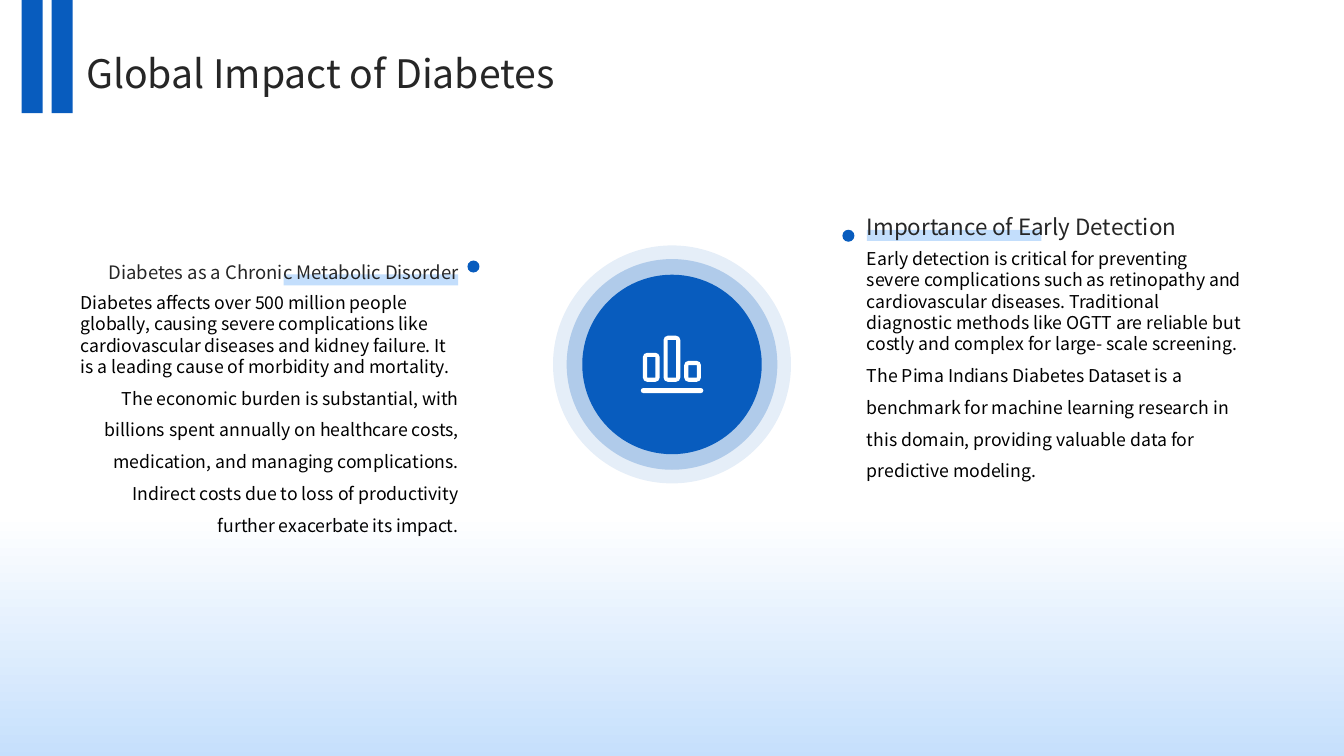
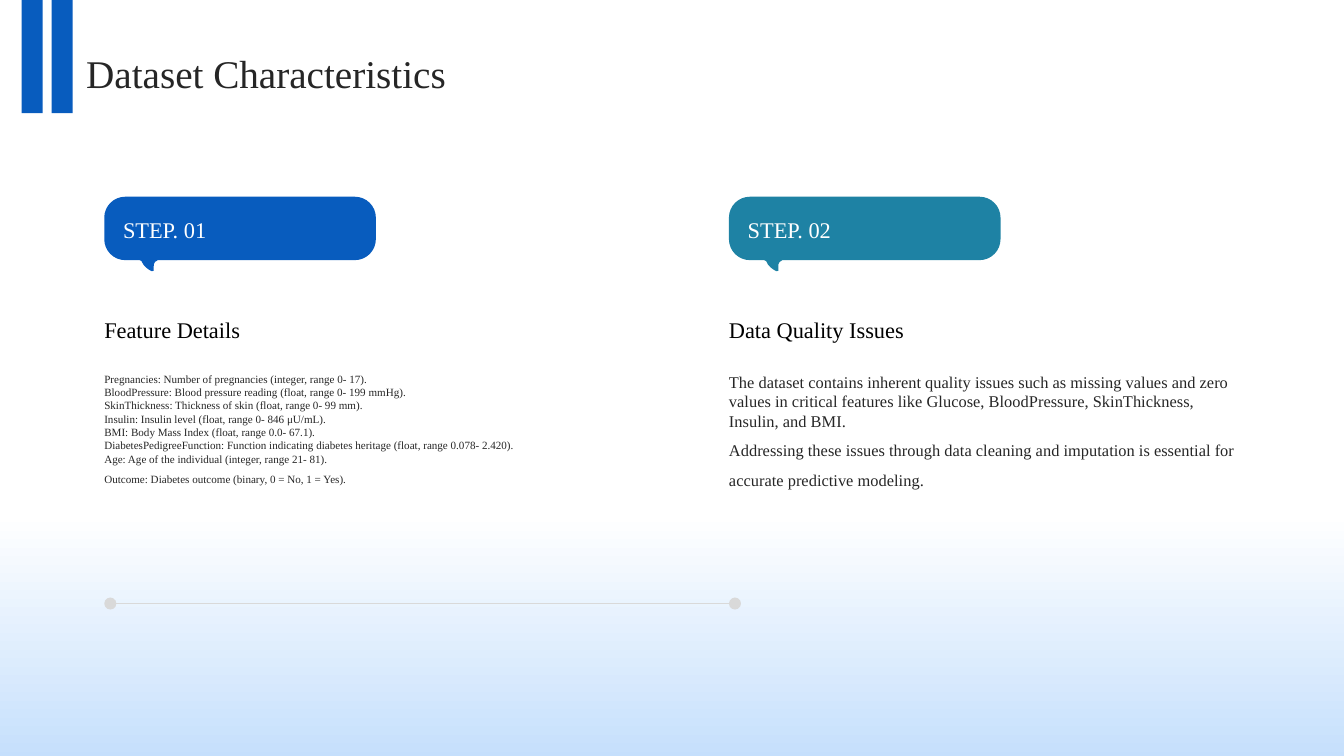
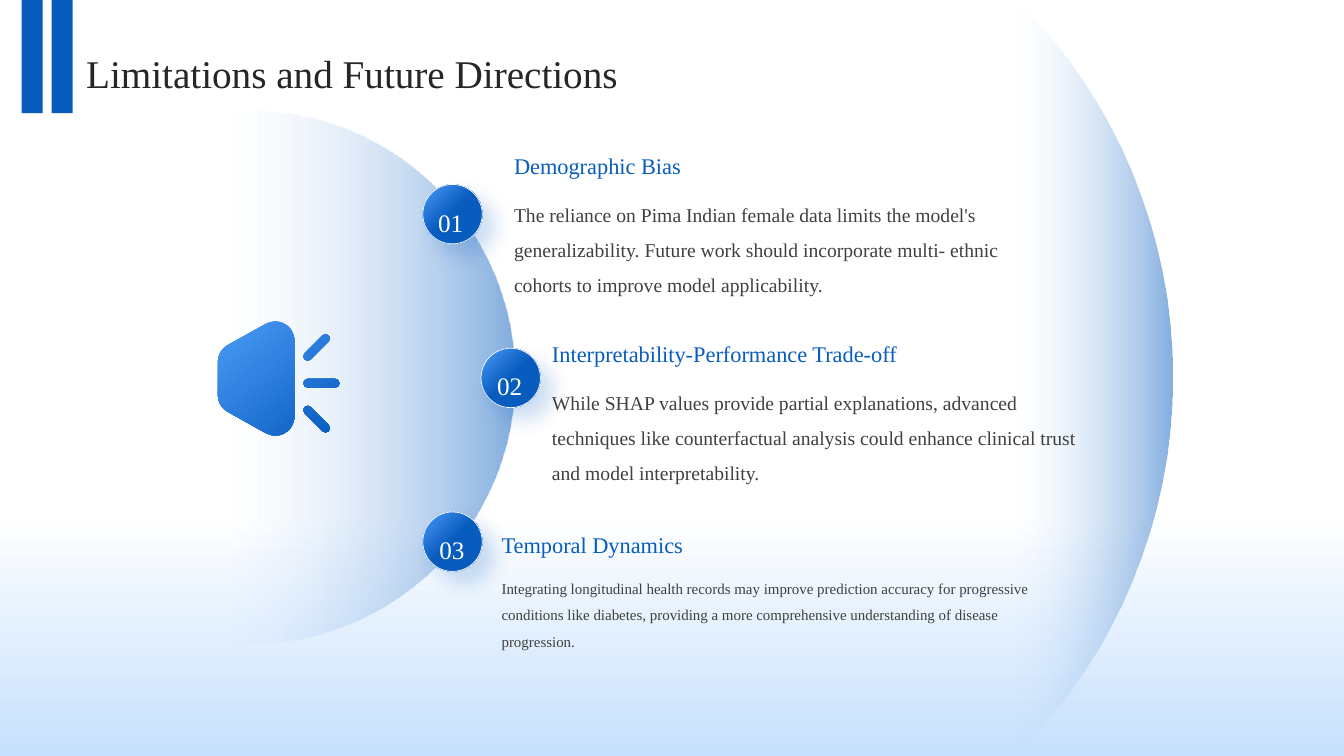
"""Build three slides on diabetes: global impact, dataset and limitations."""
from itertools import pairwise
from math import cos, radians, sin, tan

from lxml.etree import SubElement
from pptx import Presentation
from pptx.dml.color import RGBColor
from pptx.enum.shapes import MSO_CONNECTOR, MSO_SHAPE
from pptx.enum.text import MSO_ANCHOR, PP_ALIGN
from pptx.oxml.ns import qn
from pptx.util import Pt

BLUE, SKY, PALE, TEAL = "085CBE", "4B9BF7", "C3DEFC", "1E82A4"
INK, BODY, BLACK, WHITE, GREY = "262626", "404040", "000000", "FFFFFF", "D9D9D9"
SANS, SERIF = "Noto Sans CJK SC", "Times New Roman"
MIDDLE = {"vertical_anchor": MSO_ANCHOR.MIDDLE}
BOTTOM = {"vertical_anchor": MSO_ANCHOR.BOTTOM}
UNWRAPPED = {"vertical_anchor": MSO_ANCHOR.MIDDLE, "word_wrap": False}


def draw(slide, figure, place, stops, angle=0):
    if place:
        shape = slide.shapes.add_shape(figure, *map(Pt, place))
    else:
        builder, bends, count = None, [], 0
        for contour in figure:
            points = []
            for part in contour:
                if len(part) == 8:
                    curves = [list(zip(part[::2], part[1::2]))]
                else:
                    x, y, radius, start, end = part
                    quarters = [turn for turn in range(-360, 451, 90) if start < turn < end]
                    curves = [] if radius else [[(x, y)]]
                    for turn, following in pairwise([start, *quarters, end] if radius else []):
                        a, b = radians(turn), radians(following)
                        reach = 4 / 3 * tan((b - a) / 4)
                        curves.append([(x + radius * (cos(t) - k * sin(t)), y + radius * (sin(t) + k * cos(t)))
                                       for t, k in ((a, 0), (a, reach), (b, -reach), (b, 0))])
                for curve in curves:
                    curve = [(Pt(px), Pt(py)) for px, py in curve]
                    if not points or points[-1] != curve[0]:
                        points.append(curve[0])
                    if len(curve) == 4:
                        bends.append(count + len(points))
                        points += curve[1:]
            count += len(points)
            if builder is None:
                builder = slide.shapes.build_freeform(*points[0])
            else:
                builder.move_to(*points[0])
            builder.add_line_segments(points[1:], close=True)
        shape = builder.convert_to_shape()
        outline = shape.element.spPr.find(".//" + qn("a:pathLst"))[0]
        nodes = [node for node in outline if node.tag != qn("a:close")]
        for bend in bends:
            nodes[bend].tag = qn("a:cubicBezTo")
            for node in nodes[bend + 1:bend + 3]:
                nodes[bend].append(node[0])
                outline.remove(node)
    shape.shadow.inherit = False
    shape.line.fill.background()
    shape.fill.solid()
    paint = shape.element.spPr.find(qn("a:solidFill"))
    paint.clear()
    holders = [paint]
    if len(stops) > 1:
        paint.tag = qn("a:gradFill")
        stop_list = SubElement(paint, qn("a:gsLst"))
        holders = [SubElement(stop_list, qn("a:gs"), pos=str(position * 1000)) for position, *_ in stops]
        SubElement(paint, qn("a:lin"), ang=str(angle * 60000), scaled="0")
    for holder, (_, colour, alpha) in zip(holders, stops):
        tint = SubElement(holder, qn("a:srgbClr"), val=colour)
        if alpha < 100:
            SubElement(tint, qn("a:alpha"), val=str(alpha * 1000))
    return shape


def write(slide, place, paragraphs, font, size, colour, frame_format=None):
    frame = slide.shapes.add_textbox(*map(Pt, place)).text_frame
    margins = dict.fromkeys(("margin_left", "margin_top", "margin_right", "margin_bottom"), 0)
    for key, value in {"word_wrap": True, **margins, **(frame_format or {})}.items():
        setattr(frame, key, value)
    for index, (text, paragraph_format) in enumerate(paragraphs):
        paragraph = frame.add_paragraph() if index else frame.paragraphs[0]
        for key, value in paragraph_format.items():
            setattr(paragraph, key, value)
        run = paragraph.add_run()
        run.text = text
        for key, value in {"name": font, "size": Pt(size)}.items():
            setattr(run.font, key, value)
        run.font.color.rgb = RGBColor.from_string(colour)


presentation = Presentation()
presentation.slide_width, presentation.slide_height = Pt(960), Pt(540)
impact, dataset, limits = [presentation.slides.add_slide(presentation.slide_layouts[6]) for _ in range(3)]
for slide in (impact, dataset, limits):
    draw(slide, MSO_SHAPE.RECTANGLE, (-0.7, -2.9, 966.2, 552.2), [(0, PALE, 100), (33, WHITE, 100)], 270)

for left, top in ((202.7, 196), (619.3, 164.2)):
    draw(impact, MSO_SHAPE.RECTANGLE, (left, top, 124.6, 7.9), [(0, PALE, 100)])

arguments = [
    (57.6, 208.4, 168.7, "Diabetes as a Chronic Metabolic Disorder", 13.2, PP_ALIGN.RIGHT,
     "Diabetes affects over 500 million people globally, causing severe complications like cardiovascular "
     "diseases and kidney failure. It is a leading cause of morbidity and mortality.",
     "The economic burden is substantial, with billions spent annually on healthcare costs, medication, and "
     "managing complications. Indirect costs due to loss of productivity further exacerbate its impact."),
    (619.2, 177.1, 137.5, "Importance of Early Detection", 16, PP_ALIGN.LEFT,
     "Early detection is critical for preventing severe complications such as retinopathy and cardiovascular "
     "diseases. Traditional diagnostic methods like OGTT are reliable but costly and complex for large- scale "
     "screening.",
     "The Pima Indians Diabetes Dataset is a benchmark for machine learning research in this domain, providing "
     "valuable data for predictive modeling."),
]
for left, top, heading_top, heading, heading_size, side, opening, closing in arguments:
    write(impact, (left, top, 269.9, 213),
          [(opening, {"alignment": PP_ALIGN.LEFT, "line_spacing": Pt(15.2)}),
           (closing, {"alignment": side, "line_spacing": Pt(22.7)})], SANS, 12.6, BLACK)
    write(impact, (left, heading_top, 269.9, 33.8),
          [(heading, {"alignment": side, "line_spacing": 1.5})], SANS, heading_size, INK, BOTTOM)

for diameter, alpha in ((170, 10), (150.5, 24), (128.2, 100)):
    draw(impact, MSO_SHAPE.OVAL, (480 - diameter / 2, 260.3 - diameter / 2, diameter, diameter),
         [(0, BLUE, alpha)])

bars = [(457.7, 277.2, 502.4, 280.8, 1.8)]
for column, top in enumerate((252, 239.8, 257.8)):
    left = 459.2 + 14.75 * column
    bars += [(left, top, left + 12, 272.8, 3.1), (left + 3, top + 3, left + 9, 269.8, 0)]
chart_icon = [
    [(right - r, bottom - r, r, 0, 90), (left + r, bottom - r, r, 90, 180),
     (left + r, top + r, r, 180, 270), (right - r, top + r, r, 270, 360)]
    for left, top, right, bottom, r in bars
]
draw(impact, chart_icon, None, [(0, WHITE, 100)])
for left, top in ((601.7, 164.1), (333.9, 186.1)):
    draw(impact, MSO_SHAPE.OVAL, (left, top, 8.6, 8.6), [(0, BLUE, 100)])

tail = [(38.2, 185.8, 34.6, 187.2, 35.3, 190.1, 35.3, 192.2), (35.3, 192.2, 36, 193.2, 35, 194.1, 33.8, 193.7),
        (33.8, 193.7, 30.9, 192.2, 28, 190.1, 26.6, 186.5), (26.6, 186.5, 26.6, 186, 25.9, 185.8, 25.2, 185.8)]
steps = [
    (74.5, BLUE, "STEP. 01", "Feature Details", 7.9, 9.55, 14.3,
     ["Pregnancies: Number of pregnancies (integer, range 0- 17).",
      "BloodPressure: Blood pressure reading (float, range 0- 199 mmHg).",
      "SkinThickness: Thickness of skin (float, range 0- 99 mm).",
      "Insulin: Insulin level (float, range 0- 846 μU/mL).",
      "BMI: Body Mass Index (float, range 0.0- 67.1).",
      "DiabetesPedigreeFunction: Function indicating diabetes heritage (float, range 0.078- 2.420).",
      "Age: Age of the individual (integer, range 21- 81).",
      "Outcome: Diabetes outcome (binary, 0 = No, 1 = Yes)."]),
    (520.7, TEAL, "STEP. 02", "Data Quality Issues", 11.7, 14, 21,
     ["The dataset contains inherent quality issues such as missing values and zero values in critical features "
      "like Glucose, BloodPressure, SkinThickness, Insulin, and BMI.",
      "Addressing these issues through data cleaning and imputation is essential for accurate predictive "
      "modeling."]),
]
timeline = dataset.shapes.add_connector(MSO_CONNECTOR.STRAIGHT, Pt(76.3), Pt(431.2), Pt(524.2), Pt(431.2))
timeline.line.width = Pt(1)
timeline.line.color.rgb = RGBColor.from_string(GREY)
SubElement(timeline.element.spPr, qn("a:effectLst"))
for left, colour, step, heading, size, tight, loose, details in steps:
    bubble_tail = [[left + value if place % 2 == 0 else value for place, value in enumerate(curve)]
                   for curve in tail]
    bubble = [(left + 179, 170.8, 15, 0, 90), *bubble_tail, (left + 15, 170.8, 15, 90, 180),
              (left + 15, 155.5, 15, 180, 270), (left + 179, 155.5, 15, 270, 360)]
    draw(dataset, [bubble], None, [(0, colour, 100)])
    write(dataset, (left + 13.4, 149.8, 167, 26.6), [(step, {"line_spacing": 1.1})], SERIF, 16, WHITE, UNWRAPPED)
    draw(dataset, MSO_SHAPE.OVAL, (left, 426.8, 8.6, 8.6), [(0, GREY, 100)])
    write(dataset, (left, 203, 365.8, 62.6), [(heading, {"line_spacing": 1.1})], SERIF, 16, BLACK, UNWRAPPED)
    spacings = [tight] * (len(details) - 1) + [loose]
    write(dataset, (left, 265.7, 365.8, 113),
          [(detail, {"line_spacing": Pt(spacing)}) for detail, spacing in zip(details, spacings)],
          SERIF, size, INK)

for x, radius, reach, first in ((177.1, 190.1, 108.3, 19), (456.5, 380.9, 45, 0)):
    draw(limits, [[(x, 269.3, radius, -reach, reach)]], None, [(first, PALE, 0), (100, BLUE, 50)])

directions = [
    (302, 300.4, 367.2, 95.6, 14, 25, "Demographic Bias",
     "The reliance on Pima Indian female data limits the model's generalizability. Future work should "
     "incorporate multi- ethnic cohorts to improve model applicability."),
    (343.6, 342.5, 394.3, 229.9, 14, 25, "Interpretability-Performance Trade-off",
     "While SHAP values provide partial explanations, advanced techniques like counterfactual analysis could "
     "enhance clinical trust and model interpretability."),
    (302, 301.2, 358.3, 366.5, 10.7, 18.9, "Temporal Dynamics",
     "Integrating longitudinal health records may improve prediction accuracy for progressive conditions like "
     "diabetes, providing a more comprehensive understanding of disease progression."),
]
for index, (badge_left, number_left, text_left, top, size, spacing, heading, explanation) in enumerate(directions):
    badge_top = 131.7 + 117 * index
    badge = draw(limits, MSO_SHAPE.ROUNDED_RECTANGLE, (badge_left, badge_top, 42.5, 42.5),
                 [(0, SKY, 100), (50, BLUE, 100)], 45)
    badge.adjustments[0] = 0.5
    badge.line.width = Pt(0.5)
    badge.line.color.rgb = RGBColor.from_string(WHITE)
    shadow = SubElement(badge.element.spPr.find(qn("a:effectLst")), qn("a:outerShdw"), blurRad=str(Pt(14)),
                        dist=str(Pt(12)), dir=str(45 * 60000), algn="tl", rotWithShape="0")
    SubElement(SubElement(shadow, qn("a:srgbClr"), val=BLUE), qn("a:alpha"), val="20000")
    write(limits, (text_left, top, 378.7, 36), [(heading, {"line_spacing": 1.5})], SERIF, 16, BLUE, MIDDLE)
    write(limits, (text_left, top + 41.4, 378.7, 70.6), [(explanation, {"line_spacing": Pt(spacing)})],
          SERIF, size, BODY)
    write(limits, (number_left, badge_top + 9.6, 43.2, 23.8),
          [(f"{index + 1:02}", {"alignment": PP_ALIGN.CENTER, "line_spacing": 1.5})], SERIF, 18, WHITE, MIDDLE)

speaker_icon = [[(196.6, 243.4, 13.7, 240, 360), (196.6, 297.4, 13.7, 0, 120),
                 (169.3, 282.2, 13.7, 120, 180), (169.3, 258.5, 13.7, 180, 240)]]
for tilt, inner_y, outer_x, outer_y in ((45, 293, 232.6, 305.8), (0, 273.8, 239.4, 273.8), (-45, 254.6, 232.6, 241.8)):
    speaker_icon.append([(219.8, inner_y, 3.1, 90 + tilt, 270 + tilt),
                         (outer_x, outer_y, 3.1, tilt - 90, tilt + 90)])
draw(limits, speaker_icon, None, [(0, SKY, 100), (100, BLUE, 100)], 50)

titles = [
    (impact, "Global Impact of Diabetes", SANS),
    (dataset, "Dataset Characteristics", SERIF),
    (limits, "Limitations and Future Directions", SERIF),
]
for slide, title, font in titles:
    write(slide, (61.6, 31.7, 840.2, 36.7), [(title, {"line_spacing": 1.1})], font, 28, INK, MIDDLE)
    for left in (36.9, 15.5):
        draw(slide, MSO_SHAPE.RECTANGLE, (left, 0, 15, 80.9), [(0, BLUE, 100)])

presentation.save("out.pptx")
